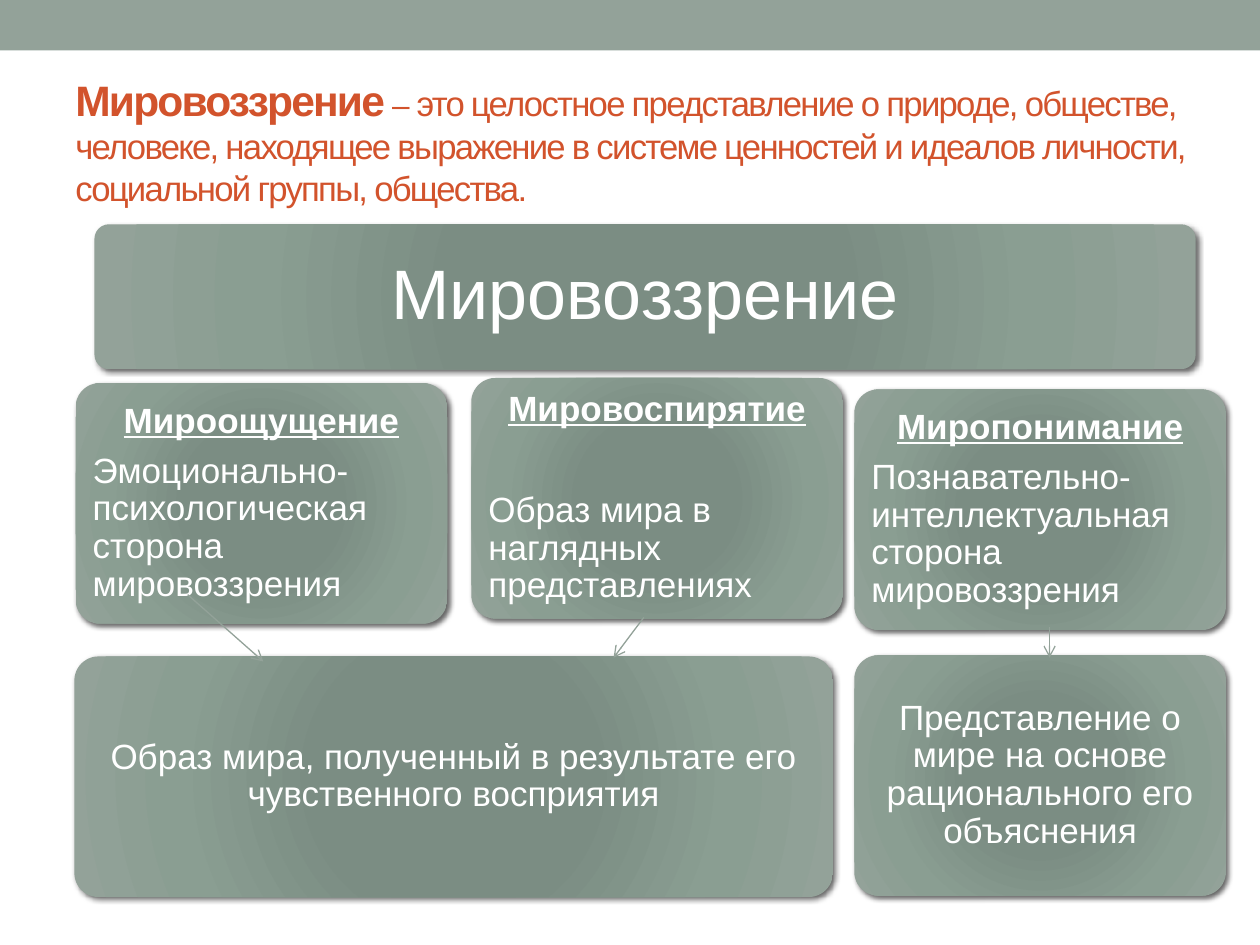
from lxml.etree import SubElement
from pptx import Presentation
from pptx.dml.color import RGBColor
from pptx.enum.shapes import MSO_CONNECTOR, MSO_SHAPE
from pptx.enum.text import MSO_ANCHOR, PP_ALIGN
from pptx.oxml import parse_xml
from pptx.oxml.ns import nsdecls, qn
from pptx.util import Inches, Pt

SAGE = RGBColor(0x93, 0xA2, 0x99)
RUST = RGBColor(0xD2, 0x53, 0x2C)
WHITE = RGBColor(0xFF, 0xFF, 0xFF)
FONT = "Arial"
GRADIENT = [(0, "7B8E82"), (34, "7B8D83"), (70, "8A9E92"), (100, "93A299")]
CARD_WIDTH, CARD_HEIGHT = 2.95, 1.91

TITLE_RUNS = [
    ("Мировоззрение", 24.3, True),
    (" – ", 18, False),
    ("это целостное представление о природе, обществе, человеке, находящее "
     "выражение в системе ценностей и идеалов личности, социальной группы, "
     "общества.", 19.8, False),
]
ASPECTS = [
    (0.6, 3.04, "Мироощущение",
     "Эмоционально-психологическая сторона мировоззрения", PP_ALIGN.JUSTIFY, 7),
    (6.78, 3.09, "Миропонимание",
     "Познавательно-интеллектуальная сторона мировоззрения", PP_ALIGN.LEFT, 7),
    (3.74, 3, "Мировоспирятие",
     "Образ мира в наглядных представлениях", PP_ALIGN.LEFT, 36),
]
OUTCOMES = [
    (0.59, 5.21, 6.02,
     "Образ мира, полученный в результате его чувственного восприятия"),
    (6.78, 5.2, CARD_WIDTH,
     "Представление о мире на основе рационального его объяснения"),
]
ARROWS = [
    (1.49, 4.72, 2.09, 5.25),
    (5.11, 4.9, 4.87, 5.22),
    (8.33, 4.98, 8.33, 5.22),
]


def set_insets(text_frame, inset):
    text_frame.margin_left = text_frame.margin_right = Inches(inset)
    text_frame.margin_top = text_frame.margin_bottom = Inches(inset)


def style_paragraph(paragraph, size, alignment=PP_ALIGN.CENTER):
    paragraph.alignment = alignment
    paragraph.line_spacing = 0.9
    for run in paragraph.runs:
        run.font.name = FONT
        run.font.size = Pt(size)
        run.font.color.rgb = WHITE


def add_band(slide, left, top, width, height):
    band = slide.shapes.add_shape(
        MSO_SHAPE.RECTANGLE, Inches(left), Inches(top), Inches(width), Inches(height))
    band.shadow.inherit = False
    band.fill.solid()
    band.fill.fore_color.rgb = SAGE
    band.line.fill.background()


def add_title(slide, left, top, width, height):
    box = slide.shapes.add_textbox(
        Inches(left), Inches(top), Inches(width), Inches(height))
    text_frame = box.text_frame
    text_frame.word_wrap = True
    text_frame.vertical_anchor = MSO_ANCHOR.MIDDLE
    paragraph = text_frame.paragraphs[0]
    for text, size, bold in TITLE_RUNS:
        run = paragraph.add_run()
        run.text = text
        run.font.name = FONT
        run.font.size = Pt(size)
        run.font.bold = bold
        run.font.color.rgb = RUST
        run.font._element.set("spc", "-100")


def add_card(slide, left, top, width, height, inset=0.08):
    card = slide.shapes.add_shape(
        MSO_SHAPE.ROUNDED_RECTANGLE,
        Inches(left), Inches(top), Inches(width), Inches(height))
    card.adjustments[0] = 0.1
    card.line.fill.background()
    card.shadow.inherit = False
    properties = card._element.spPr
    stops = "".join(
        f'<a:gs pos="{position * 1000}"><a:srgbClr val="{color}"/></a:gs>'
        for position, color in GRADIENT)
    properties.find(qn("a:ln")).addprevious(parse_xml(
        f'<a:gradFill {nsdecls("a")} rotWithShape="1"><a:gsLst>{stops}</a:gsLst>'
        '<a:path path="circle"><a:fillToRect l="100000" t="100000" '
        'r="100000" b="100000"/></a:path></a:gradFill>'))
    properties.find(qn("a:effectLst")).append(parse_xml(
        f'<a:outerShdw {nsdecls("a")} blurRad="{Pt(3)}" dist="{Pt(2)}" '
        'dir="2700000" rotWithShape="0"><a:srgbClr val="000000">'
        '<a:alpha val="60000"/></a:srgbClr></a:outerShdw>'))
    text_frame = card.text_frame
    text_frame.word_wrap = True
    text_frame.vertical_anchor = MSO_ANCHOR.MIDDLE
    set_insets(text_frame, inset)
    return text_frame


def add_statement_card(slide, left, top, width, height, text, size=20, inset=0.08):
    text_frame = add_card(slide, left, top, width, height, inset)
    text_frame.text = text
    style_paragraph(text_frame.paragraphs[0], size)


def add_aspect_card(slide, left, top, width, height, name, meaning, alignment, gap):
    text_frame = add_card(slide, left, top, width, height)
    heading = text_frame.paragraphs[0]
    heading.text = name
    style_paragraph(heading, 20)
    heading.space_after = Pt(gap)
    heading.runs[0].font.bold = True
    heading.runs[0].font.underline = True
    body = text_frame.add_paragraph()
    body.text = meaning
    style_paragraph(body, 20, alignment)


def add_arrow(slide, start_x, start_y, end_x, end_y):
    arrow = slide.shapes.add_connector(
        MSO_CONNECTOR.STRAIGHT,
        Inches(start_x), Inches(start_y), Inches(end_x), Inches(end_y))
    arrow.line.color.rgb = SAGE
    arrow.line.width = Pt(0.75)
    SubElement(arrow.line._get_or_add_ln(), qn("a:tailEnd"), type="arrow")
    SubElement(arrow._element.spPr, qn("a:effectLst"))


def main():
    presentation = Presentation()
    presentation.slide_width = Inches(10)
    presentation.slide_height = Inches(7.5)
    slide = presentation.slides.add_slide(presentation.slide_layouts[6])
    add_band(slide, 0, 0, 10, 0.4)
    add_title(slide, 0.5, 0.58, 9, 1.08)
    add_statement_card(slide, 0.75, 1.78, 8.74, 1.15, "Мировоззрение", 40, 0.17)
    for left, top, width, text in OUTCOMES:
        add_statement_card(slide, left, top, width, CARD_HEIGHT, text)
    for left, top, *content in ASPECTS:
        add_aspect_card(slide, left, top, CARD_WIDTH, CARD_HEIGHT, *content)
    for ends in ARROWS:
        add_arrow(slide, *ends)
    presentation.save("out.pptx")


if __name__ == "__main__":
    main()
